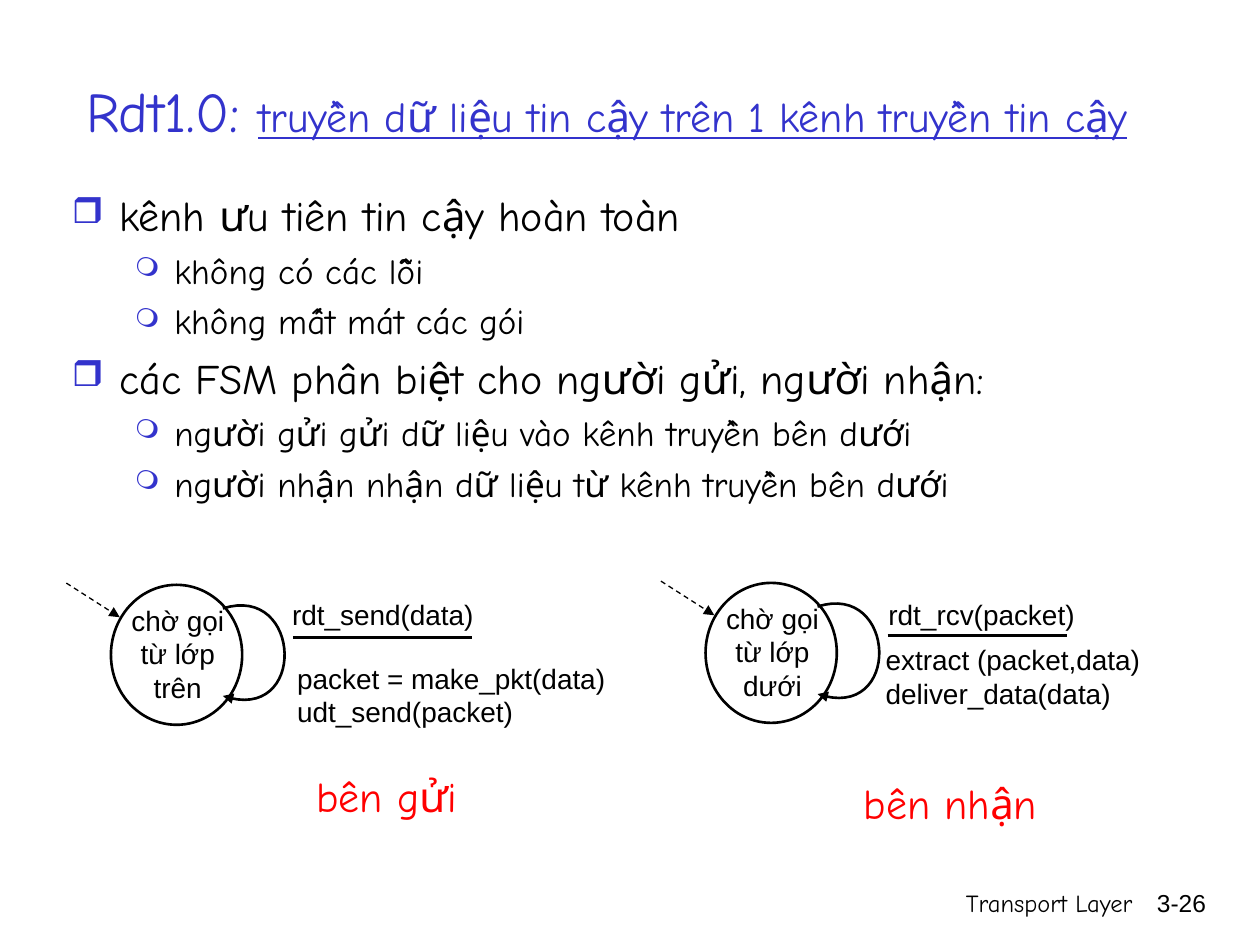
from pptx import Presentation, util as u
from pptx.dml import color
from pptx.enum import dml, shapes, text
from pptx.oxml import ns, xmlchemy
from lxml import etree

Pt = u.Pt
LEFT, CENTER, RIGHT = text.PP_ALIGN.LEFT, text.PP_ALIGN.CENTER, text.PP_ALIGN.RIGHT
HAND, SANS = "Comic Neue", "Arial"
BLACK, BLUE, RED = "000000", "3333CC", "FF0000"


def rgb(value):
    return color.RGBColor.from_string(value)


def write(frame, lines, align=LEFT, wrap=True, **formats):
    for name, value in {"word_wrap": wrap, "auto_size": text.MSO_AUTO_SIZE.NONE}.items():
        setattr(frame, name, value)
    for index, runs in enumerate(lines):
        paragraph = frame.paragraphs[0] if index == 0 else frame.add_paragraph()
        paragraph.alignment = align
        for content, extra in runs:
            run = paragraph.add_run()
            run.text = content
            values = {"name": SANS, "size": 16, "color": BLACK, **formats, **extra}
            run.font.color.rgb = rgb(values.pop("color"))
            values["size"] = Pt(values["size"])
            for name, value in values.items():
                setattr(run.font, name, value)


presentation = Presentation()
presentation.slide_width, presentation.slide_height = Pt(720), Pt(540)
slide = presentation.slides.add_slide(presentation.slide_layouts[5])

title = slide.shapes.title
for name, value in {"left": 42, "top": 18, "width": 630, "height": 90}.items():
    setattr(title, name, Pt(value))
title.text_frame.vertical_anchor = text.MSO_ANCHOR.MIDDLE
title_runs = [
    ("Rdt1.0: ", {"size": 32}),
    ("truyền dữ liệu tin cậy trên 1 kênh truyền tin cậy", {"size": 24, "underline": True}),
]
write(title.text_frame, [title_runs], name=HAND, color=BLUE)

outline = [
    (0, "kênh ưu tiên tin cậy hoàn toàn"),
    (1, "không có các lỗi"),
    (1, "không mất mát các gói"),
    (0, "các FSM phân biệt cho người gửi, người nhận:"),
    (1, "người gửi gửi dữ liệu vào kênh truyền bên dưới"),
    (1, "người nhận nhận dữ liệu từ kênh truyền bên dưới"),
]
levels = [
    {"size": 24, "before": 6, "margin": 27, "indent": -27, "bullet": "❒", "percent": 85},
    {"size": 20, "before": 5, "margin": 58.5, "indent": -22.5, "bullet": "❍", "percent": 75},
]
body = slide.shapes.add_textbox(Pt(34), Pt(105), Pt(622), Pt(238)).text_frame
write(body, [[(line, {"size": levels[level]["size"]})] for level, line in outline], name=HAND)
for paragraph, (level, line) in zip(body.paragraphs, outline):
    style = levels[level]
    paragraph.level = level
    paragraph.space_before = Pt(style["before"])
    properties = paragraph._p.get_or_add_pPr()
    properties.set("marL", str(Pt(style["margin"])))
    properties.set("indent", str(Pt(style["indent"])))
    bullet_color = etree.SubElement(properties, ns.qn("a:buClr"))
    etree.SubElement(bullet_color, ns.qn("a:srgbClr"), val=BLUE)
    etree.SubElement(properties, ns.qn("a:buSzPct"), val=str(style["percent"] * 1000))
    etree.SubElement(properties, ns.qn("a:buChar"), char=style["bullet"])

arrows, connectors = [], []
curve = [(64, 13.5), (109.5, -1), (112.5, 80), (64, 63.5)]
weights = [1, 3, 3, 1]
steps = 32
machines = [(63.4, 334.2, "chờ gọi từ lớp trên", 30.2), (403.2, 333.1, "chờ gọi từ lớp dưới", 30.2)]
for left, top, state, rule_top in machines:
    circle = slide.shapes.add_shape(shapes.MSO_SHAPE.OVAL, Pt(left), Pt(top), Pt(75), Pt(80))
    circle.shadow.inherit = False
    circle.fill.solid()
    circle.fill.fore_color.rgb = rgb("FFFFFF")

    label = slide.shapes.add_textbox(Pt(left - 5), Pt(top + 7), Pt(86.4), Pt(72))
    write(label.text_frame, [[(state, {})]], CENTER)

    points = []
    for step in range(steps + 1):
        t = step / steps
        blend = [w * t**k * (1 - t) ** (3 - k) for k, w in enumerate(weights)]
        x = left + sum(b * point[0] for b, point in zip(blend, curve))
        y = top + sum(b * point[1] for b, point in zip(blend, curve))
        points.append((Pt(x), Pt(y)))
    builder = slide.shapes.build_freeform(*points[0])
    builder.add_line_segments(points[1:], close=False)
    loop = builder.convert_to_shape()
    loop.shadow.inherit = False
    loop.fill.background()

    rule, entry = [
        slide.shapes.add_connector(
            shapes.MSO_CONNECTOR.STRAIGHT,
            Pt(left + x1), Pt(top + y1), Pt(left + x2), Pt(top + y2),
        )
        for x1, y1, x2, y2 in [(104, rule_top, 206.5, rule_top), (-25.5, -1, 5, 18.5)]
    ]
    for shape, width in [(circle, 1.5), (loop, 1.5), (rule, 1.5), (entry, 0.75)]:
        shape.line.color.rgb = rgb(BLACK)
        shape.line.width = Pt(width)
    entry.line.dash_style = dml.MSO_LINE.DASH
    arrows += [loop, entry]
    connectors += [rule, entry]

for arrow in arrows:
    etree.SubElement(arrow.line._get_or_add_ln(), ns.qn("a:tailEnd"), type="triangle")
for connector in connectors:
    etree.SubElement(connector._element.spPr, ns.qn("a:effectLst"))

hand_red = {"name": HAND, "size": 24, "color": RED, "wrap": False}
labels = [
    (162.7, 374.4, 211, 47, ["packet = make_pkt(data)", "udt_send(packet)"], LEFT, {}),
    (159.8, 337.7, 178, 34, ["rdt_send(data)"], LEFT, {}),
    (499, 363.6, 196, 34, ["extract (packet,data)", "deliver_data(data)"], LEFT, {}),
    (500.4, 337.7, 121, 26.6, ["rdt_rcv(packet)"], CENTER, {"wrap": False}),
    (173.5, 437, 95, 36, ["bên gửi"], CENTER, hand_red),
    (486.7, 440.6, 113, 36, ["bên nhận"], CENTER, hand_red),
    (426.2, 504, 228.2, 36, ["Transport Layer"], RIGHT, {"name": HAND, "size": 14}),
    (643, 504, 53.3, 36, ["3-26"], RIGHT, {"size": 14}),
]
for left, top, width, height, lines, align, formats in labels:
    box = slide.shapes.add_textbox(Pt(left), Pt(top), Pt(width), Pt(height))
    write(box.text_frame, [[(line, {})] for line in lines], align, **formats)

presentation.save("out.pptx")
